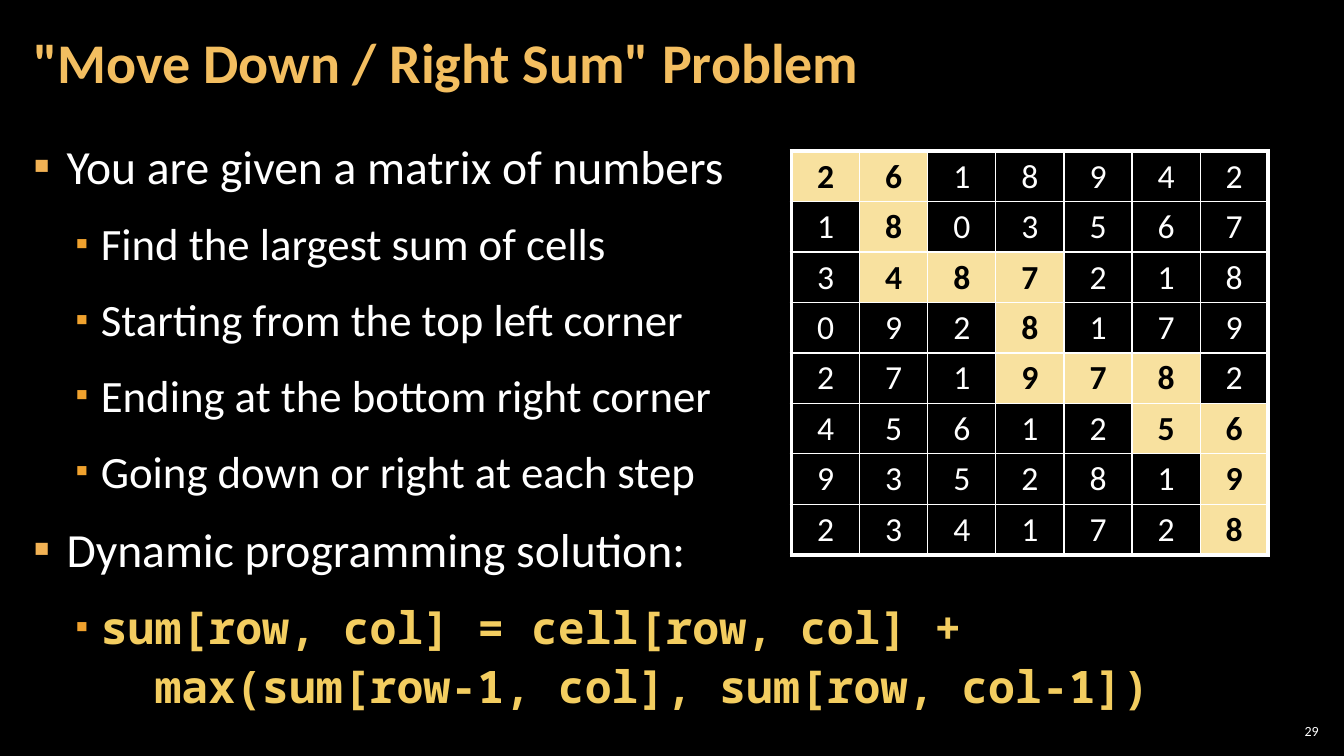
from pptx import Presentation
from pptx.dml.color import RGBColor
from pptx.enum.text import MSO_ANCHOR, PP_ALIGN
from pptx.oxml import parse_xml
from pptx.oxml.ns import nsdecls
from pptx.util import Inches, Pt

COLORS = {"back": "000000", "text": "FFFFFF", "title": "F3BE60", "code": "F3CD60", "route": "F8E19F"}
BODY_FONT, CODE_FONT = "Calibri", "Noto Sans Mono"
TITLE = '"Move Down / Right Sum" Problem'
PAGE = "29"
POINTS = [
    (0, "You are given a matrix of numbers"),
    (1, "Find the largest sum of cells"),
    (1, "Starting from the top left corner"),
    (1, "Ending at the bottom right corner"),
    (1, "Going down or right at each step"),
    (0, "Dynamic programming solution:"),
]
FORMULA = ["sum[row, col] = cell[row, col] +", "  max(sum[row-1, col], sum[row, col-1])"]
LEVELS = [
    {"margin": 0.33, "hang": 0.33, "size": 34, "bullet": "F2B254", "scale": 100},
    {"margin": 0.67, "hang": 0.25, "size": 32, "bullet": "F0A22E", "scale": 80},
]
MATRIX = [
    [2, 6, 1, 8, 9, 4, 2],
    [1, 8, 0, 3, 5, 6, 7],
    [3, 4, 8, 7, 2, 1, 8],
    [0, 9, 2, 8, 1, 7, 9],
    [2, 7, 1, 9, 7, 8, 2],
    [4, 5, 6, 1, 2, 5, 6],
    [9, 3, 5, 2, 8, 1, 9],
    [2, 3, 4, 1, 7, 2, 8],
]
ROUTE_STEPS = "RDDRRDDRRDRDD"


def add_run(paragraph, text, size, color="text", font=BODY_FONT, bold=False):
    run = paragraph.add_run()
    run.text = text
    run.font.size, run.font.name, run.font.bold = Pt(size), font, bold
    run.font.color.rgb = RGBColor.from_string(COLORS[color])


def add_box(slide, left, top, width, height, side, anchor):
    frame = slide.shapes.add_textbox(Inches(left), Inches(top), Inches(width), Inches(height)).text_frame
    frame.word_wrap = True
    frame.vertical_anchor = anchor
    frame.margin_left = frame.margin_right = Inches(side)
    frame.margin_top = frame.margin_bottom = Inches(0.04)
    return frame


def add_point(frame, index, level):
    style = LEVELS[level]
    paragraph = frame.add_paragraph() if index else frame.paragraphs[0]
    paragraph.level = level
    paragraph.line_spacing = 1.1
    paragraph.space_before, paragraph.space_after = Pt(6 if index else 0), Pt(6)
    props = paragraph._p.get_or_add_pPr()
    props.set("marL", str(Inches(style["margin"])))
    props.set("indent", str(-Inches(style["hang"])))
    for xml in (
        f'<a:buClr {nsdecls("a")}><a:srgbClr val="{style["bullet"]}"/></a:buClr>',
        f'<a:buSzPct {nsdecls("a")} val="{style["scale"] * 1000}"/>',
        f'<a:buFont {nsdecls("a")} typeface="{BODY_FONT}"/>',
        f'<a:buChar {nsdecls("a")} char="▪"/>',
    ):
        props.append(parse_xml(xml))
    return paragraph, style["size"]


def add_borders(cell, widths):
    props = cell._tc.get_or_add_tcPr()
    for position, (side, width) in enumerate(widths.items()):
        props.insert(position, parse_xml(
            f'<a:{side} {nsdecls("a")} w="{Pt(width)}"><a:solidFill>'
            f'<a:srgbClr val="{COLORS["text"]}"/></a:solidFill></a:{side}>'))


def add_matrix(slide):
    route = [(0, 0)]
    for step in ROUTE_STEPS:
        row, col = route[-1]
        route.append((row + (step == "D"), col + (step == "R")))
    last_row, last_col = len(MATRIX) - 1, len(MATRIX[0]) - 1
    table = slide.shapes.add_table(last_row + 1, last_col + 1, Inches(7.85), Inches(1.5),
                                   Inches(4.73), Inches(4)).table
    table.first_row = table.horz_banding = False
    for row, numbers in enumerate(MATRIX):
        for col, number in enumerate(numbers):
            cell = table.cell(row, col)
            on_route = (row, col) in route
            cell.fill.solid()
            cell.fill.fore_color.rgb = RGBColor.from_string(COLORS["route" if on_route else "back"])
            add_borders(cell, {
                "lnL": 1 if col else 3,
                "lnR": 3 if col == last_col else 1,
                "lnT": 1 if row else 3,
                "lnB": 3 if row == last_row else 1,
            })
            paragraph = cell.text_frame.paragraphs[0]
            paragraph.alignment = PP_ALIGN.CENTER
            add_run(paragraph, str(number), 24, "back" if on_route else "text", bold=on_route)


def main():
    """Build the matrix path problem slide."""
    deck = Presentation()
    deck.slide_width, deck.slide_height = Inches(13.33), Inches(7.5)
    slide = deck.slides.add_slide(deck.slide_layouts[6])
    slide.background.fill.solid()
    slide.background.fill.fore_color.rgb = RGBColor.from_string(COLORS["back"])

    page = add_box(slide, 12.65, 7.14, 0.47, 0.22, 0.04, MSO_ANCHOR.MIDDLE).paragraphs[0]
    page.alignment = PP_ALIGN.RIGHT
    add_run(page, PAGE, 10)

    body = add_box(slide, 0.21, 1.26, 12.91, 6.09, 0.12, MSO_ANCHOR.TOP)
    for index, (level, text) in enumerate(POINTS):
        point, size = add_point(body, index, level)
        add_run(point, text, size)
    formula, size = add_point(body, len(POINTS), 1)
    for index, line in enumerate(FORMULA):
        if index:
            formula.add_line_break()
        add_run(formula, line, size, "code", CODE_FONT, True)

    title = add_box(slide, 0.21, 0.04, 10.47, 1.21, 0.12, MSO_ANCHOR.MIDDLE).paragraphs[0]
    title.line_spacing = 0.9
    add_run(title, TITLE, 40, "title", bold=True)

    add_matrix(slide)
    deck.save("out.pptx")


if __name__ == "__main__":
    main()
